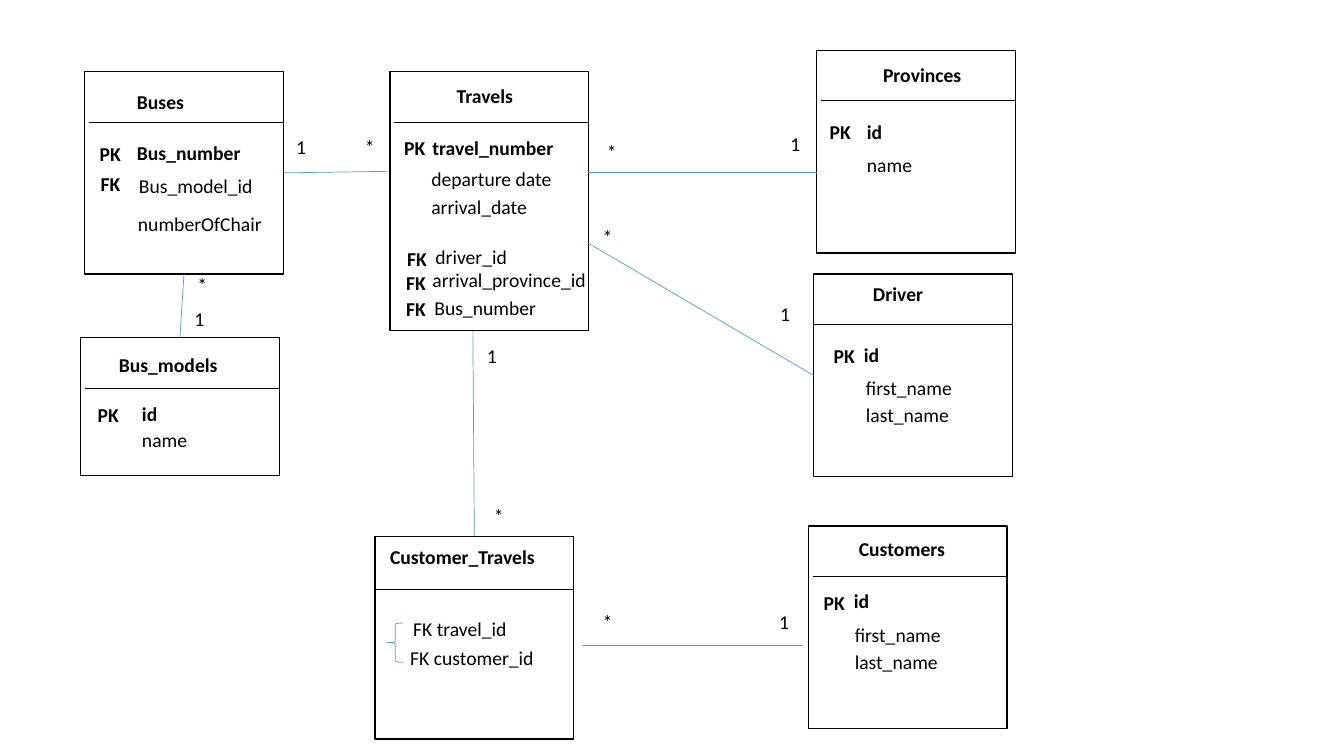
import pptx
import pptx.util
import pptx.dml.color
import pptx.enum.shapes
import pptx.enum.text
import pptx.oxml

Inches, Pt = pptx.util.Inches, pptx.util.Pt
HEX = {"ink": "000000", "paper": "FFFFFF", "link": "5B9BD5"}

# Width of the text box for each wording
WIDE = {
    "1": 0.3, "*": 0.3, "PK": 0.41, "FK": 0.4, "id": 0.36, "name": 0.65,
    "first_name": 1.06, "last_name": 1.03, "Travels": 0.81, "Customers": 1.06,
    "Provinces": 0.99, "Driver": 0.71, "Buses": 0.67, "Bus_models": 1.19,
    "Customer_Travels": 1.65, "departure date": 1.41, "arrival_date": 1.16,
    "FK travel_id": 1.14, "FK customer_id": 1.44, "Bus_model_id": 1.34,
    "Bus_number": 1.26, "travel_number": 1.41, "driver_id": 0.92,
    "arrival_province_id": 1.74, "numberOfChair": 1.44,
}

# Title: box (left, top, height), title spot, rule (left inset, drop)
BOXES = {
    "Travels": ((3.87, 0.71, 2.57), (4.43, 0.78), (0.04, 0.5)),
    "Customers": ((8.02, 5.22, 2.01), (8.42, 5.28), (0.04, 0.5)),
    "Provinces": ((8.1, 0.5, 2.01), (8.66, 0.58), (0.04, 0.5)),
    "Driver": ((8.07, 2.72, 2.01), (8.56, 2.75), (0, 0.5)),
    "Buses": ((0.84, 0.71, 2.01), (1.26, 0.84), (0.04, 0.5)),
    "Bus_models": ((0.8, 3.35, 1.37), (1.08, 3.45), (0.04, 0.5)),
    "Customer_Travels": ((3.72, 5.32, 2.01), (3.77, 5.36), (0, 0.53)),
}
BOX_W = 1.97

# Bold keys and plain fields, each with its left and top
KEYS = [
    ("PK", 0.89, 1.36), ("Bus_number", 1.26, 1.35), ("FK", 0.9, 1.66),
    ("PK", 0.87, 3.95), ("id", 1.31, 3.94),
    ("PK", 3.91, 1.3), ("travel_number", 4.19, 1.3),
    ("FK", 3.94, 2.4), ("FK", 3.93, 2.64), ("FK", 3.93, 2.9),
    ("PK", 8.13, 1.14), ("id", 8.5, 1.14),
    ("PK", 8.17, 3.36), ("id", 8.47, 3.35),
    ("PK", 8.07, 5.81), ("id", 8.37, 5.79),
]
FIELDS = [
    ("Bus_model_id", 1.28, 1.68), ("numberOfChair", 1.27, 2.05),
    ("name", 1.31, 4.2),
    ("departure date", 4.18, 1.61), ("arrival_date", 4.18, 1.88),
    ("driver_id", 4.22, 2.38), ("arrival_province_id", 4.19, 2.61),
    ("Bus_number", 4.21, 2.89),
    ("FK travel_id", 4, 6.07), ("FK customer_id", 3.97, 6.36),
    ("name", 8.5, 1.47),
    ("first_name", 8.49, 3.68), ("last_name", 8.49, 3.95),
    ("first_name", 8.38, 6.13), ("last_name", 8.38, 6.4),
]
COUNTS = [
    ("1", 2.84, 1.29), ("*", 3.52, 1.29), ("*", 5.92, 1.34), ("1", 7.74, 1.26),
    ("*", 5.88, 2.18), ("1", 7.64, 2.95), ("*", 1.86, 2.66), ("1", 1.83, 3),
    ("1", 4.73, 3.36), ("*", 4.8, 4.95), ("*", 5.88, 6), ("1", 7.63, 6),
]

# Links: start, end, then the (box, side) joined at each end
LINKS = [
    ((2.81, 1.7), (3.84, 1.7), ("Buses", 3), None),
    ((5.83, 1.71), (8.1, 1.71), None, None),
    ((1.82, 2.72), (1.79, 3.35), ("Buses", 2), ("Bus_models", 0)),
    ((5.83, 2.41), (8.07, 3.7), None, ("Driver", 1)),
    ((4.69, 3.28), (4.71, 5.32), None, ("Customer_Travels", 0)),
    ((7.96, 6.4), (5.77, 6.4), None, None),
]


def paint(name):
    return pptx.dml.color.RGBColor.from_string(HEX[name])


def add_text(slide, text, left, top, bold=False, size=14, color="ink"):
    box = slide.shapes.add_textbox(
        Inches(left), Inches(top), Inches(WIDE[text]), Inches(0.34))
    frame = box.text_frame
    frame.word_wrap = False
    frame.auto_size = pptx.enum.text.MSO_AUTO_SIZE.SHAPE_TO_FIT_TEXT
    run = frame.paragraphs[0].add_run()
    run.text = text
    run.font.name = "Calibri"
    run.font.size = Pt(size)
    run.font.bold = bold
    run.font.color.rgb = paint(color)


def add_line(slide, start, end, color):
    line = slide.shapes.add_connector(
        pptx.enum.shapes.MSO_CONNECTOR.STRAIGHT,
        *[Inches(n) for n in start + end])
    line.line.color.rgb = paint(color)
    line.line.width = Pt(0.5)
    line._element.spPr.append(pptx.oxml.parse_xml(
        '<a:effectLst xmlns:a='
        '"http://schemas.openxmlformats.org/drawingml/2006/main"/>'))
    return line


def add_form(slide, kind, place, color, width, fill=None):
    form = slide.shapes.add_shape(kind, *[Inches(n) for n in place])
    form.shadow.inherit = False
    if fill:
        form.fill.solid()
        form.fill.fore_color.rgb = paint(fill)
    else:
        form.fill.background()
    form.line.color.rgb = paint(color)
    form.line.width = Pt(width)
    return form


def add_box(slide, title, place, spot, rule):
    left, top, height = place
    inset, drop = rule
    box = add_form(slide, pptx.enum.shapes.MSO_SHAPE.RECTANGLE,
                   (left, top, BOX_W, height), "ink", 1, fill="paper")
    add_text(slide, title, *spot, bold=True)
    add_line(slide, (left + inset, top + drop),
             (left + BOX_W, top + drop), "ink")
    return box


def main():
    deck = pptx.Presentation()
    deck.slide_width, deck.slide_height = Inches(13.33), Inches(7.5)
    slide = deck.slides.add_slide(deck.slide_layouts[6])

    # Entities
    boxes = {title: add_box(slide, title, *data)
             for title, data in BOXES.items()}

    # Relations
    for start, end, tail, head in LINKS:
        link = add_line(slide, start, end, "link")
        if tail:
            link.begin_connect(boxes[tail[0]], tail[1])
        if head:
            link.end_connect(boxes[head[0]], head[1])

    # Brace of the joint key
    add_form(slide, pptx.enum.shapes.MSO_SHAPE.LEFT_BRACE,
             (3.84, 6.18, 0.16, 0.39), "link", 0.5)

    # Keys, fields and counts
    for key in KEYS:
        add_text(slide, *key, bold=True)
    for item in FIELDS + COUNTS:
        add_text(slide, *item)

    deck.save("out.pptx")


if __name__ == "__main__":
    main()
